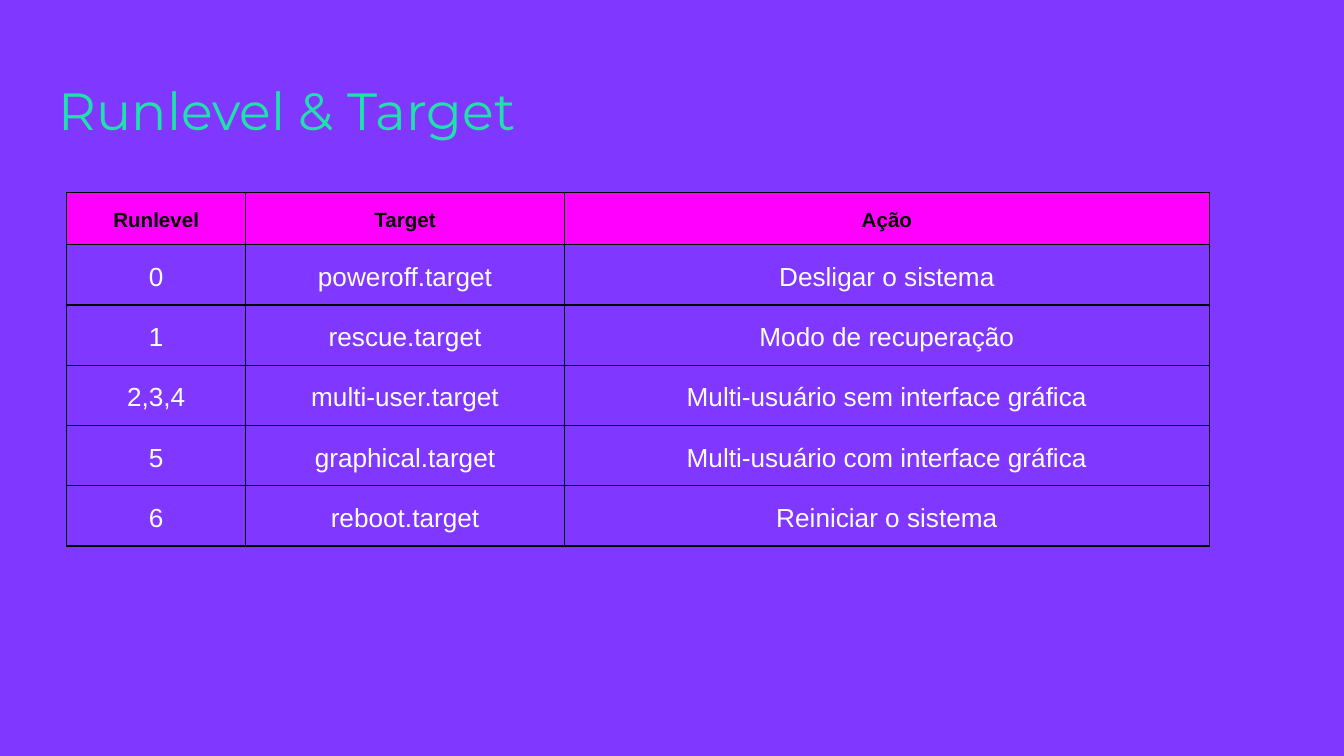
from lxml.etree import SubElement
from pptx import Presentation
from pptx.dml.color import RGBColor
from pptx.enum.text import MSO_ANCHOR as Anchor, PP_ALIGN as Align
from pptx.oxml.ns import qn
from pptx.util import Emu, Pt

PX = 4572  # 200 px to the inch
INSET = Emu(20 * PX)
CELL_BOTTOM_INSET = Emu(16 * PX)
COLORS = {
    "background": "8037FF",
    "title": "1EE2AA",
    "header": "FF00FF",
    "header_text": "000000",
    "body_text": "FFFFFF",
    "border": "000000",
}
COLUMN_WIDTHS = [267, 474, 960]
HEADER_HEIGHT, ROW_HEIGHT = 70, 84
ROWS = [
    ("Runlevel", "Target", "Ação"),
    ("0", "poweroff.target", "Desligar o sistema"),
    ("1", "rescue.target", "Modo de recuperação"),
    ("2,3,4", "multi-user.target", "Multi-usuário sem interface gráfica"),
    ("5", "graphical.target", "Multi-usuário com interface gráfica"),
    ("6", "reboot.target", "Reiniciar o sistema"),
]


def add_span(para, text, font_name, size, color, bold=False):
    span = para.add_run()
    span.text = text
    span.font.name = font_name
    span.font.size = Pt(size)
    span.font.bold = bold
    span.font.color.rgb = RGBColor.from_string(COLORS[color])


def add_borders(cell):
    """Draw a thin line on all four sides; call before setting the fill."""
    properties = cell._tc.get_or_add_tcPr()
    for side in ("a:lnL", "a:lnR", "a:lnT", "a:lnB"):
        line = SubElement(properties, qn(side), w=str(Pt(0.75)))
        fill = SubElement(line, qn("a:solidFill"))
        SubElement(fill, qn("a:srgbClr"), val=COLORS["border"])


deck = Presentation()
deck.slide_width, deck.slide_height = Emu(2000 * PX), Emu(1125 * PX)
page = deck.slides.add_slide(deck.slide_layouts[6])
page.background.fill.solid()
page.background.fill.fore_color.rgb = RGBColor.from_string(COLORS["background"])

# Title
box = page.shapes.add_textbox(68 * PX, 97 * PX, 1864 * PX, 125 * PX)
frame = box.text_frame
frame.word_wrap = True
frame.vertical_anchor = Anchor.TOP
frame.margin_left = frame.margin_right = INSET
frame.margin_top = frame.margin_bottom = INSET
add_span(frame.paragraphs[0], "Runlevel & Target", "Montserrat", 28, "title")

# Table of runlevels
row_heights = [HEADER_HEIGHT] + [ROW_HEIGHT] * (len(ROWS) - 1)
table = page.shapes.add_table(
    len(ROWS), len(COLUMN_WIDTHS), 99 * PX, 286 * PX,
    sum(COLUMN_WIDTHS) * PX, sum(row_heights) * PX,
).table
table.horz_banding = False
for column, width in zip(table.columns, COLUMN_WIDTHS):
    column.width = Emu(width * PX)
for row, height in zip(table.rows, row_heights):
    row.height = Emu(height * PX)

for row_index, texts in enumerate(ROWS):
    is_header = row_index == 0
    for column_index, text in enumerate(texts):
        cell = table.cell(row_index, column_index)
        cell.margin_left = cell.margin_right = cell.margin_top = INSET
        cell.margin_bottom = CELL_BOTTOM_INSET
        add_borders(cell)
        para = cell.text_frame.paragraphs[0]
        para.alignment = Align.CENTER
        para.line_spacing = 1.15
        if is_header:
            cell.fill.solid()
            cell.fill.fore_color.rgb = RGBColor.from_string(COLORS["header"])
            add_span(para, text, "Arial", 11, "header_text", bold=True)
        else:
            cell.fill.background()
            add_span(para, text, "Arial", 14, "body_text")

deck.save("out.pptx")
